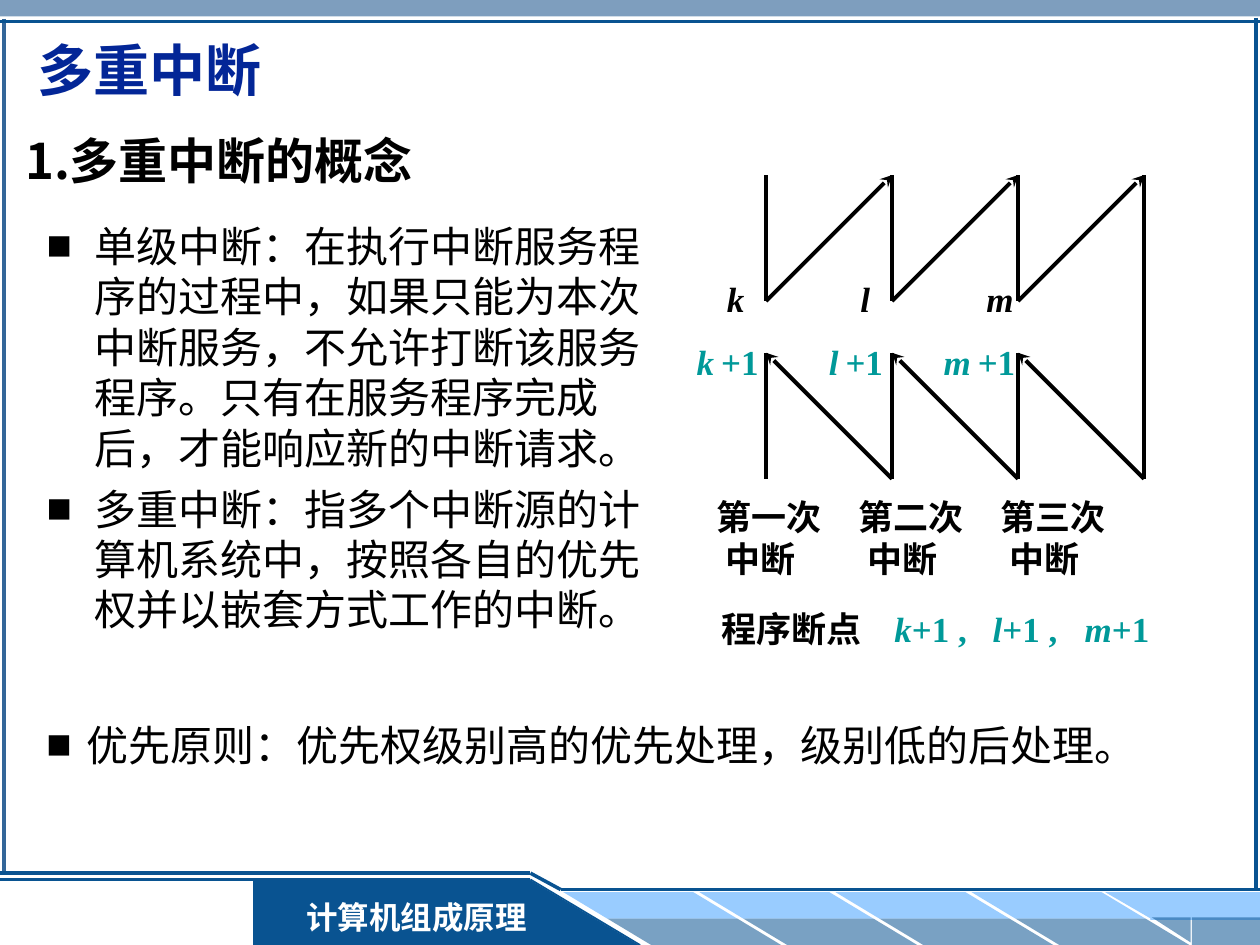
from lxml.etree import SubElement
from pptx import Presentation
from pptx.dml.color import RGBColor
from pptx.enum.shapes import MSO_CONNECTOR as CONNECTOR, MSO_SHAPE as SHAPE
from pptx.enum.text import MSO_ANCHOR as ANCHOR, PP_ALIGN as ALIGN
from pptx.oxml.ns import qn
from pptx.util import Inches, Pt

SANS = "Noto Sans CJK SC"
SERIF = "Times New Roman"
NAVY, SKY, STEEL = "095391", "99CCFF", "336699"
BLACK, WHITE, TEAL, TITLE_BLUE = "000000", "FFFFFF", "009999", "032697"


def rgb(color):
    return RGBColor.from_string(color)


class SlideBuilder:
    """Holds the current slide and draws styled elements on it."""

    def __init__(self, slide):
        self.slide = slide

    def box(self, kind, left, top, width, height, color, alpha=None,
            flip=False, rotation=0, adjustment=None):
        shape = self.slide.shapes.add_shape(
            kind, Inches(left), Inches(top), Inches(width), Inches(height))
        shape.shadow.inherit = False
        shape.fill.solid()
        shape.fill.fore_color.rgb = rgb(color)
        shape.line.fill.background()
        shape.rotation = rotation
        if adjustment is not None:
            shape.adjustments[0] = adjustment
        if flip:
            shape._element.spPr.get_or_add_xfrm().set("flipH", "1")
        if alpha:
            fill_color = shape._element.spPr.find(".//" + qn("a:srgbClr"))
            SubElement(fill_color, qn("a:alpha"), val=str(alpha * 1000))
        return shape

    def line(self, start, end, color=BLACK, width=2.25, arrow=False):
        connector = self.slide.shapes.add_connector(
            CONNECTOR.STRAIGHT, *(Inches(value) for value in (*start, *end)))
        connector.line.color.rgb = rgb(color)
        connector.line.width = Pt(width)
        if arrow:
            SubElement(connector.line._get_or_add_ln(), qn("a:tailEnd"), type="stealth")
        SubElement(connector._element.spPr, qn("a:effectLst"))

    def text_box(self, left, top, width, height, wrap=False):
        shape = self.slide.shapes.add_textbox(
            Inches(left), Inches(top), Inches(width), Inches(height))
        shape.text_frame.word_wrap = wrap
        return shape.text_frame

    def placeholder(self, shape, left, top, width, height, anchor):
        shape.left, shape.top = Inches(left), Inches(top)
        shape.width, shape.height = Inches(width), Inches(height)
        shape.text_frame.vertical_anchor = anchor
        return shape.text_frame

    def run(self, paragraph, text, size=20, font=SERIF, color=BLACK,
            bold=True, italic=False):
        run = paragraph.add_run()
        run.text = text
        run.font.size, run.font.name = Pt(size), font
        run.font.bold, run.font.italic = bold, italic
        run.font.color.rgb = rgb(color)
        SubElement(run._r.get_or_add_rPr(), qn("a:ea"), typeface=SANS)

    def indent(self, paragraph, margin, first_line=0):
        properties = paragraph._p.get_or_add_pPr()
        properties.set("marL", str(Inches(margin)))
        properties.set("indent", str(Inches(first_line)))
        return properties

    def bullet(self, paragraph, text, hanging, spacing=1.0, before=0):
        paragraph.line_spacing = spacing
        paragraph.space_before = Pt(before)
        properties = self.indent(paragraph, hanging, -hanging)
        properties.set("hangingPunct", "0")
        bullet_color = SubElement(properties, qn("a:buClr"))
        SubElement(bullet_color, qn("a:srgbClr"), val=BLACK)
        SubElement(properties, qn("a:buFont"), typeface=SERIF)
        SubElement(properties, qn("a:buChar"), char="■")
        self.run(paragraph, text, 24, SANS, bold=False)

    def tab_stops(self, paragraph, positions):
        tabs = SubElement(paragraph._p.get_or_add_pPr(), qn("a:tabLst"))
        for position in positions:
            SubElement(tabs, qn("a:tab"), pos=str(Inches(position)), algn="l")


def draw_frame(builder):
    builder.box(SHAPE.RECTANGLE, 0, 0, 10, 0.13, STEEL, 63)
    builder.line((0.03, 0.15), (0.03, 6.93), STEEL, 2)
    builder.box(SHAPE.RECTANGLE, 2.01, 6.98, 2.2, 0.52, NAVY)
    for start, end, width in [
        ((5.08, 7.5), (4.21, 6.98), 1),
        ((4.21, 6.98), (0, 6.98), 1.5),
        ((0, 6.93), (4.21, 6.93), 2),
        ((4.21, 6.93), (4.45, 7.06), 2),
        ((4.45, 7.06), (10, 7.06), 2),
        ((0, 0.17), (10, 0.17), 2),
        ((9.97, 0.14), (9.97, 7.07), 2),
    ]:
        builder.line(start, end, NAVY, width)

    for column in range(4):
        left = 4.47 + 1.08 * column
        for shift, top, color, alpha in [(0, 7.08, SKY, None), (0.35, 7.29, NAVY, 54)]:
            builder.box(SHAPE.PARALLELOGRAM, left + shift, top, 1.38, 0.21,
                        color, alpha, flip=True, adjustment=1.66)
    builder.box(SHAPE.RECTANGLE, 9.13, 7.08, 0.87, 0.22, SKY)
    builder.box(SHAPE.RIGHT_TRIANGLE, 8.77, 7.08, 0.38, 0.22, SKY, rotation=180)
    builder.box(SHAPE.RECTANGLE, 9.46, 7.28, 0.54, 0.22, NAVY, 54)
    builder.box(SHAPE.RIGHT_TRIANGLE, 9.14, 7.28, 0.31, 0.2, NAVY, 54, rotation=180)
    builder.box(SHAPE.RIGHT_TRIANGLE, 4.2, 6.98, 0.87, 0.52, NAVY)

    course = builder.box(SHAPE.RECTANGLE, 2.28, 7.08, 2.05, 0.4, NAVY).text_frame
    course.paragraphs[0].alignment = ALIGN.CENTER
    builder.run(course.paragraphs[0], "计算机组成原理", 18, color=WHITE)


def draw_interrupt_diagram(builder):
    top, call, resume, bottom = 1.39, 2.39, 2.8, 3.8
    columns = [6.08, 7.08, 8.08, 9.08]
    for x, following in zip(columns, columns[1:]):
        builder.line((x, top), (x, call))
        builder.line((x, call), (following, top), arrow=True)
        builder.line((following, bottom), (x, resume), arrow=True)
        builder.line((x, resume), (x, bottom))
    builder.line((columns[-1], top), (columns[-1], bottom))

    for name, left, width, next_left, next_width in [
        ("k", 5.67, 0.34, 5.43, 0.69),
        ("l", 6.73, 0.27, 6.48, 0.63),
        ("m", 7.73, 0.41, 7.39, 0.77),
    ]:
        label = builder.text_box(left, 2.15, width, 0.44)
        builder.run(label.paragraphs[0], name, italic=True)
        paragraph = builder.text_box(next_left, 2.65, next_width, 0.44).paragraphs[0]
        builder.run(paragraph, name, color=TEAL, italic=True)
        builder.run(paragraph, " ", 16, color=TEAL)
        builder.run(paragraph, "+1", color=TEAL)

    for index, ordinal in enumerate("一二三"):
        caption = builder.text_box(5.59 + 1.125 * index, 3.88, 1.12, 0.77, wrap=True)
        builder.run(caption.paragraphs[0], f"第{ordinal}次")
        second_line = caption.add_paragraph()
        builder.indent(second_line, 0.07)
        builder.run(second_line, "中断")

    paragraph = builder.text_box(5.63, 4.77, 4.37, 0.44, wrap=True).paragraphs[0]
    builder.tab_stops(paragraph, [1.37, 2.15, 2.88])
    builder.run(paragraph, "程序断点\t")
    for name, ending in [("k", "+1 ,\t"), ("l", "+1 ,\t"), ("m", "+1")]:
        builder.run(paragraph, name, color=TEAL, italic=True)
        builder.run(paragraph, ending, color=TEAL)


def main():
    presentation = Presentation()
    presentation.slide_width, presentation.slide_height = Inches(10), Inches(7.5)
    slide = presentation.slides.add_slide(presentation.slide_layouts[1])
    builder = SlideBuilder(slide)
    draw_frame(builder)

    title = builder.placeholder(slide.shapes.title, 0.2, 0.19, 9.61, 0.71, ANCHOR.MIDDLE)
    title.paragraphs[0].alignment = ALIGN.LEFT
    builder.run(title.paragraphs[0], "多重中断", 32, SANS, TITLE_BLUE)

    heading = builder.text_box(0.2, 1.06, 4.42, 0.42)
    heading.vertical_anchor = ANCHOR.MIDDLE
    heading.margin_left = heading.margin_right = 0
    heading.margin_top = heading.margin_bottom = 0
    builder.run(heading.paragraphs[0], "1.多重中断的概念", 28, SANS)

    body = builder.placeholder(slide.placeholders[1], 0.27, 1.7, 5.04, 3.56, ANCHOR.TOP)
    builder.bullet(
        body.paragraphs[0],
        "单级中断：在执行中断服务程序的过程中，如果只能为本次中断服务，"
        "不允许打断该服务程序。只有在服务程序完成后，才能响应新的中断请求。",
        0.38)
    builder.bullet(
        body.add_paragraph(),
        "多重中断：指多个中断源的计算机系统中，按照各自的优先权并以嵌套方式工作的中断。",
        0.38, before=6)

    draw_interrupt_diagram(builder)

    principle = builder.text_box(0.27, 5.64, 8.98, 0.52, wrap=True)
    builder.bullet(principle.paragraphs[0],
                   "优先原则：优先权级别高的优先处理，级别低的后处理。", 0.32, 1.05)

    presentation.save("out.pptx")


if __name__ == "__main__":
    main()
